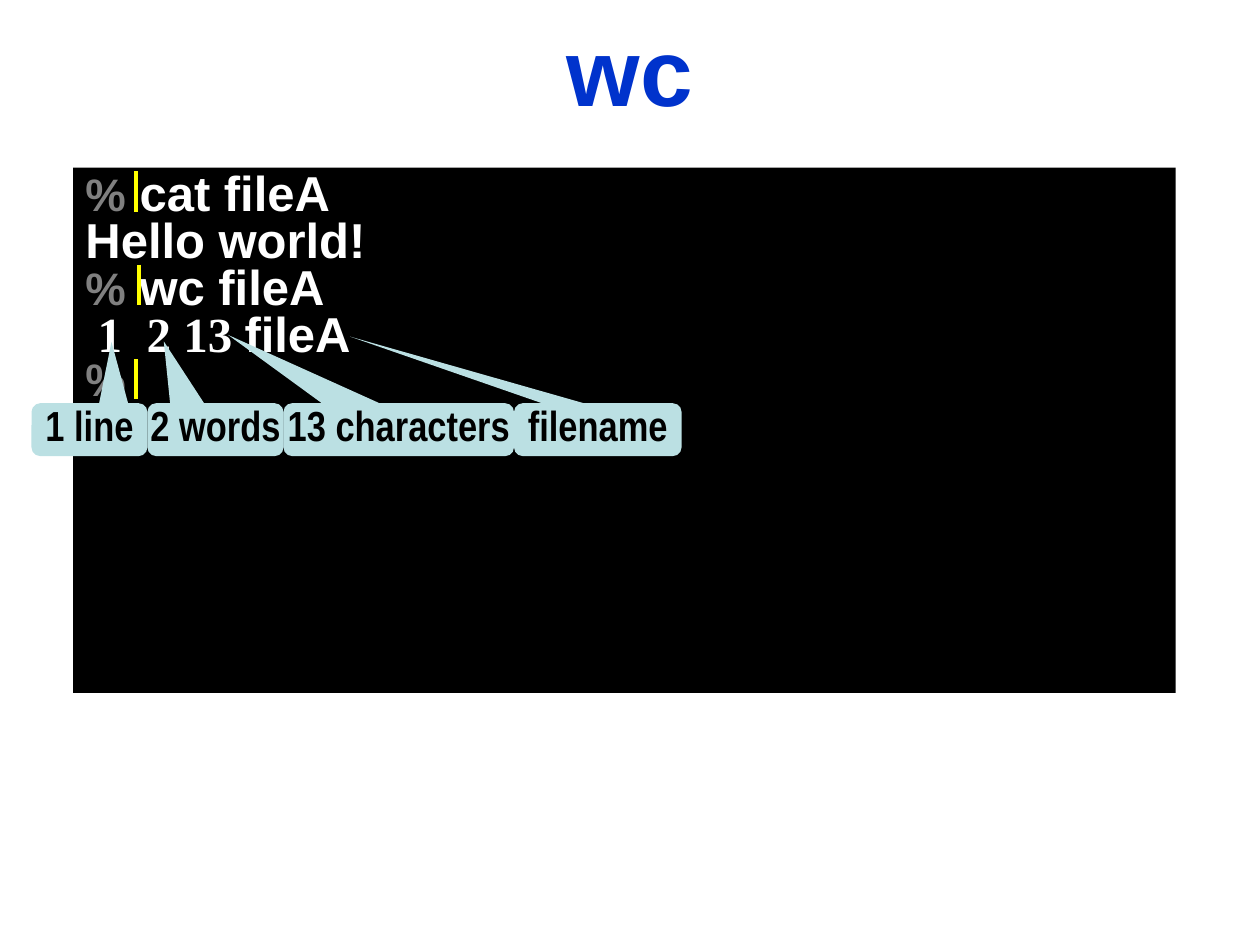
from dataclasses import dataclass

from lxml.etree import SubElement
from pptx import Presentation
from pptx.dml.color import RGBColor
from pptx.enum.shapes import MSO_CONNECTOR, MSO_SHAPE
from pptx.enum.text import MSO_ANCHOR, PP_ALIGN
from pptx.oxml.ns import qn
from pptx.util import Inches, Pt

BLACK, WHITE, GRAY = "000000", "FFFFFF", "808080"
BLUE, PALE_TEAL, YELLOW = "0033CC", "BBE0E3", "FFFF00"
CALLOUT_TOP, CALLOUT_HEIGHT = 3.2, 0.42
CURSOR_HEIGHT = 0.32


@dataclass
class Span:
    text: str
    color: str = WHITE
    size: int = 28
    font: str = "Arial"


@dataclass
class Callout:
    label: str
    width: float
    tip_x: float
    tip_y: float


@dataclass
class Cursor:
    x: float
    top: float


PROMPT = Span("%", GRAY, 26)
SESSION = [
    [PROMPT, Span(" cat fileA")],
    [Span("Hello world!")],
    [PROMPT, Span(" wc fileA")],
    [Span(" 1  2 13 ", font="Times New Roman"), Span("fileA")],
    [PROMPT],
]
CALLOUTS = [
    Callout("1 line", 0.92, 0.19, -1.66),
    Callout("2 words", 1.08, -0.38, -1.67),
    Callout("13 characters", 1.83, -0.74, -1.79),
    Callout("filename", 1.33, -1.48, -1.76),
]
CURSORS = [Cursor(1.08, 2.85), Cursor(1.1, 2.1), Cursor(1.08, 1.36)]


def rgb(color: str) -> RGBColor:
    return RGBColor.from_string(color)


def set_font(font, name: str, size: int, color: str) -> None:
    font.name, font.size, font.bold = name, Pt(size), True
    font.color.rgb = rgb(color)


def add_panel(slide, preset, left: float, top: float, width: float, height: float, color: str):
    """Add a flat filled shape without outline or shadow."""
    panel = slide.shapes.add_shape(
        preset, Inches(left), Inches(top), Inches(width), Inches(height))
    panel.shadow.inherit = False
    panel.fill.solid()
    panel.fill.fore_color.rgb = rgb(color)
    panel.line.fill.background()
    return panel


def add_title(slide, text: str) -> None:
    title = slide.shapes.title
    title.left, title.top = Inches(0), Inches(0.17)
    title.width, title.height = Inches(10), Inches(0.75)
    title.text_frame.text = text
    title.text_frame.vertical_anchor = MSO_ANCHOR.MIDDLE
    heading = title.text_frame.paragraphs[0]
    heading.alignment = PP_ALIGN.CENTER
    set_font(heading.font, "Arial", 54, BLUE)


def add_terminal(slide, session: list[list[Span]]) -> None:
    terminal = add_panel(slide, MSO_SHAPE.RECTANGLE, 0.58, 1.33, 8.75, 4.17, BLACK)
    frame = terminal.text_frame
    frame.word_wrap = True
    frame.vertical_anchor = MSO_ANCHOR.TOP
    frame.margin_bottom = 0
    for index, spans in enumerate(session):
        line = frame.add_paragraph() if index else frame.paragraphs[0]
        line.alignment = PP_ALIGN.LEFT
        line.line_spacing = 0.8
        for span in spans:
            run = line.add_run()
            run.text = span.text
            set_font(run.font, span.font, span.size, span.color)


def add_callout(slide, callout: Callout, left: float) -> None:
    bubble = add_panel(slide, MSO_SHAPE.ROUNDED_RECTANGULAR_CALLOUT,
                       left, CALLOUT_TOP, callout.width, CALLOUT_HEIGHT, PALE_TEAL)
    bubble.adjustments[0] = callout.tip_x
    bubble.adjustments[1] = callout.tip_y
    frame = bubble.text_frame
    frame.text = callout.label
    frame.word_wrap = False
    frame.vertical_anchor = MSO_ANCHOR.MIDDLE
    label = frame.paragraphs[0]
    label.alignment = PP_ALIGN.CENTER
    label.line_spacing = 0.8
    set_font(label.font, "Arial Narrow", 24, BLACK)


def add_cursor(slide, cursor: Cursor) -> None:
    bar = slide.shapes.add_connector(
        MSO_CONNECTOR.STRAIGHT, Inches(cursor.x), Inches(cursor.top),
        Inches(cursor.x), Inches(cursor.top + CURSOR_HEIGHT))
    bar.line.color.rgb = rgb(YELLOW)
    bar.line.width = Pt(2.25)
    SubElement(bar._element.spPr, qn("a:effectLst"))


def main() -> None:
    deck = Presentation()
    deck.slide_width, deck.slide_height = Inches(10), Inches(7.5)
    slide = deck.slides.add_slide(deck.slide_layouts[5])
    add_title(slide, "wc")
    add_terminal(slide, SESSION)
    left = 0.25
    for callout in CALLOUTS:
        add_callout(slide, callout, left)
        left += callout.width
    for cursor in CURSORS:
        add_cursor(slide, cursor)
    deck.save("out.pptx")


if __name__ == "__main__":
    main()
